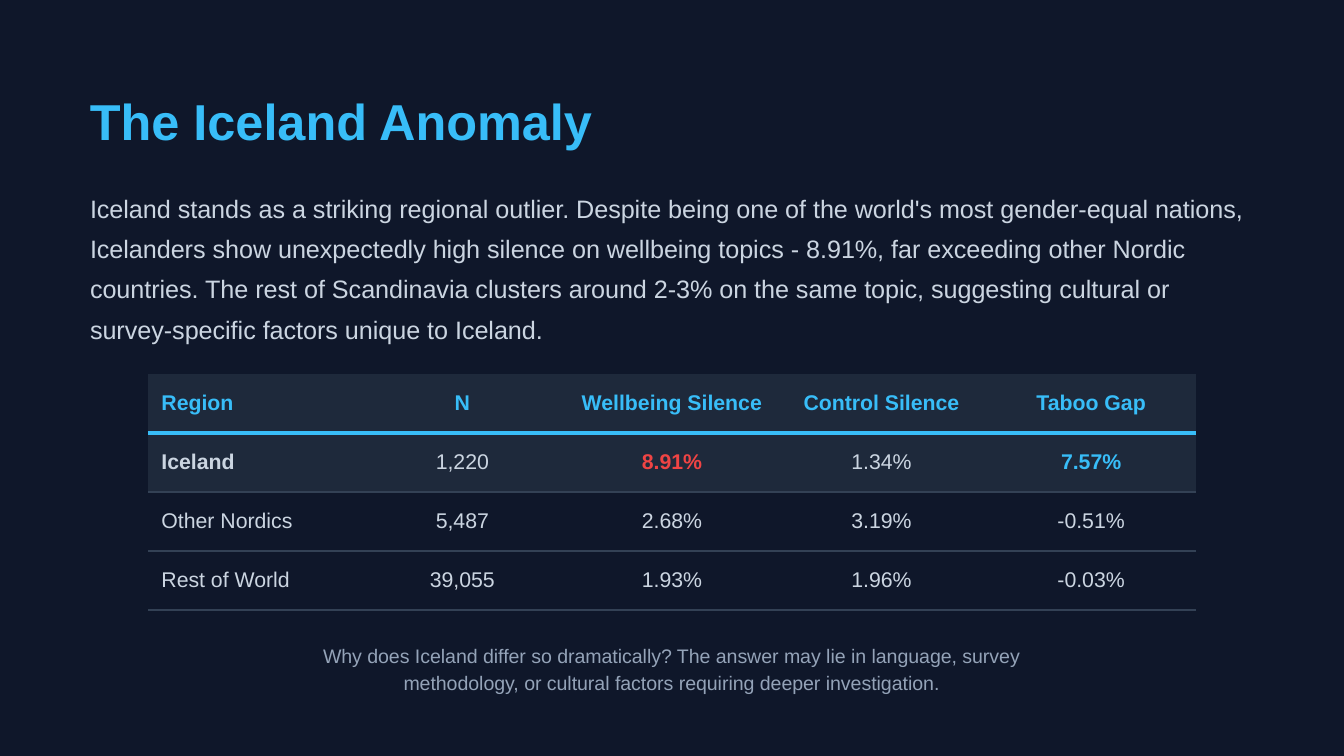
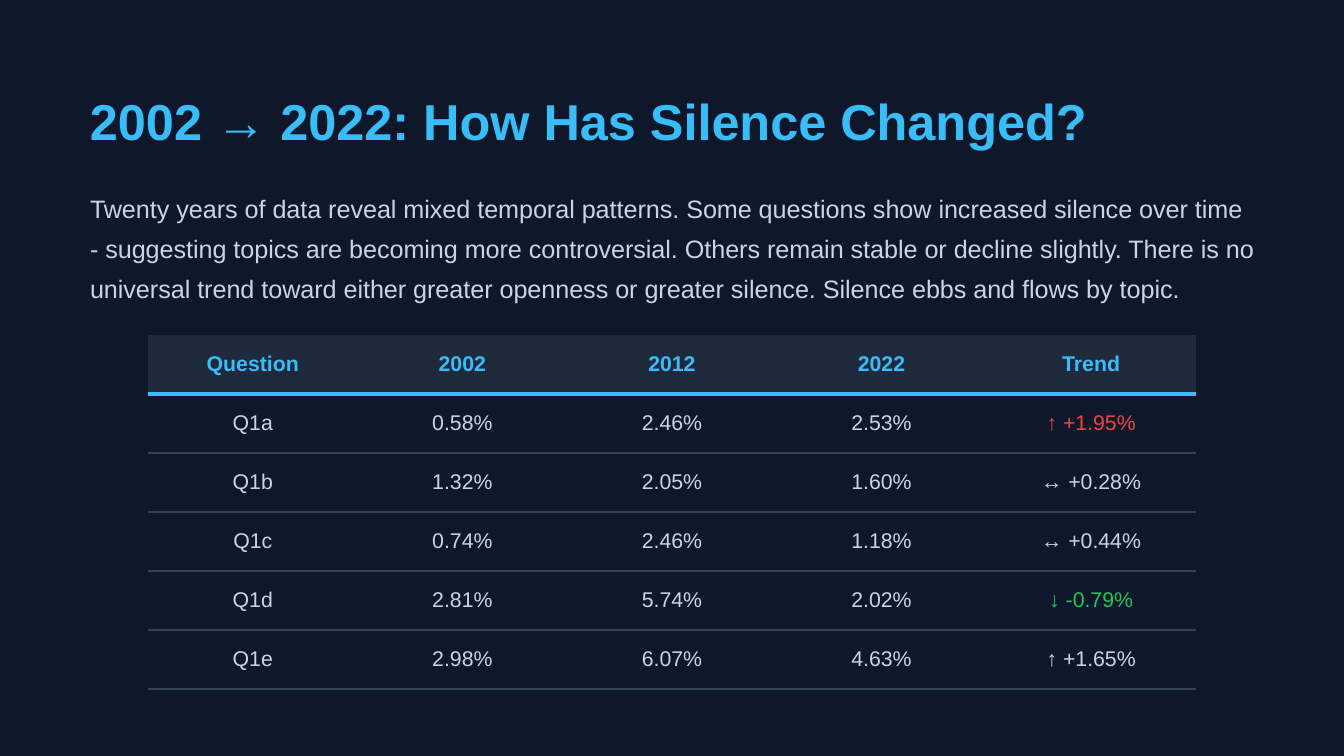
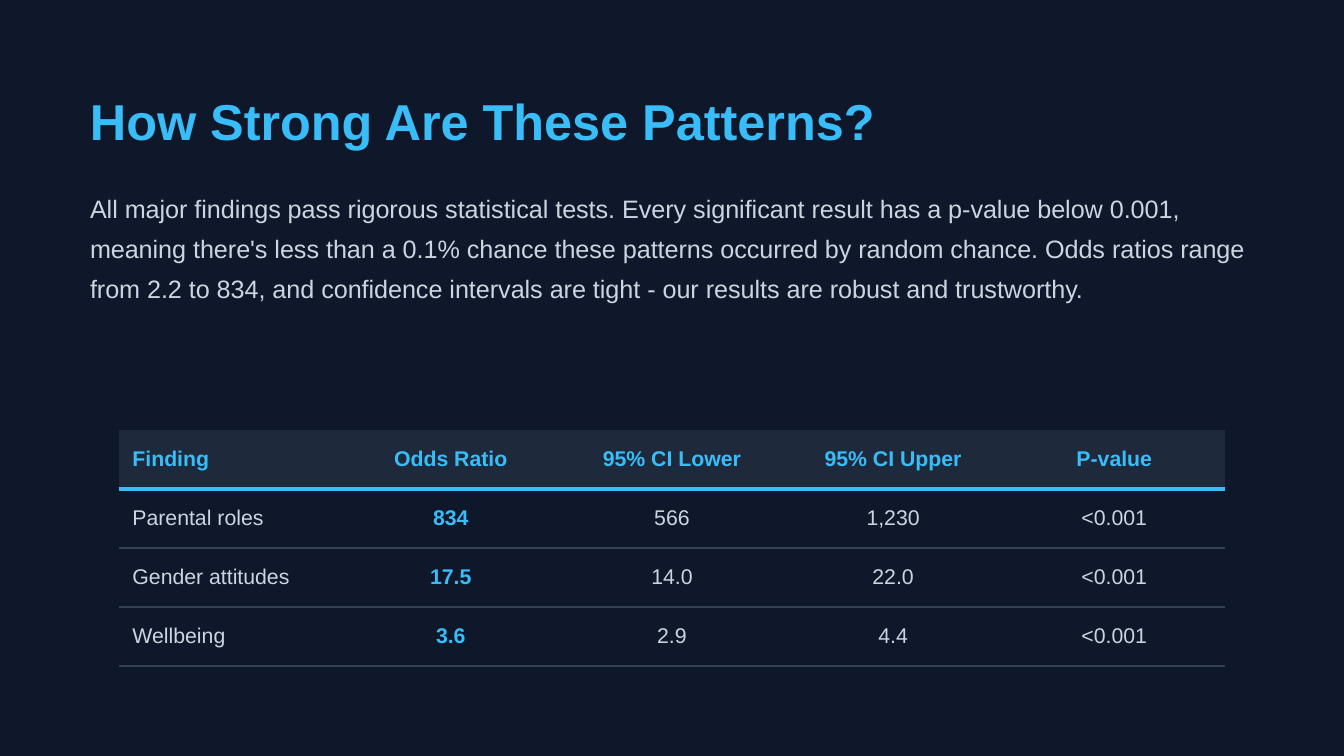
"""Build three slides on survey silence, each with a title, a paragraph and a table."""
from dataclasses import dataclass

from lxml import etree
from pptx import Presentation
from pptx import util as u
from pptx.dml.color import RGBColor
from pptx.enum import text
from pptx.oxml import ns


@dataclass(frozen=True)
class Theme:
    font: str = "Arial"
    background: str = "0F172A"
    panel: str = "1E293B"
    rule: str = "334155"
    accent: str = "38BDF8"
    body: str = "CBD5E1"
    muted: str = "94A3B8"
    alert: str = "EF4444"
    good: str = "22C55E"
    title_size: float = 27
    body_size: float = 13.5
    table_size: float = 11.4
    note_size: float = 10.5
    title_leading: float = 32.4
    body_leading: float = 21.6
    note_leading: float = 14.7
    header_rule: float = 2
    row_rule: float = 1


THEME = Theme()
LEFT, CENTER = text.PP_ALIGN.LEFT, text.PP_ALIGN.CENTER

SLIDE_WIDTH, SLIDE_HEIGHT = 1344, 756
EMU_PER_PX = u.Inches(10) / SLIDE_WIDTH
MARGIN = 90
TITLE_TOP, TITLE_WIDTH, TITLE_HEIGHT = 90, 1188, 60
BODY_TOP, BODY_WIDTH, BODY_HEIGHT = 183, 1165, 157
NOTE_TOP, NOTE_WIDTH, NOTE_HEIGHT = 640, 707, 54
ROW_HEIGHT = 59


def key(value):
    return value, THEME.accent, True


SLIDES = [
    {
        "title": "The Iceland Anomaly",
        "body": "Iceland stands as a striking regional outlier. Despite being one of the world's most "
                "gender-equal nations, Icelanders show unexpectedly high silence on wellbeing topics - "
                "8.91%, far exceeding other Nordic countries. The rest of Scandinavia clusters around "
                "2-3% on the same topic, suggesting cultural or survey-specific factors unique to Iceland.",
        "table_top": 374, "table_width": 1048, "first_column": LEFT, "panel_rows": (0, 1),
        "rows": [
            ["Region", "N", "Wellbeing Silence", "Control Silence", "Taboo Gap"],
            [("Iceland", THEME.body, True), "1,220", ("8.91%", THEME.alert, True), "1.34%", key("7.57%")],
            ["Other Nordics", "5,487", "2.68%", "3.19%", "-0.51%"],
            ["Rest of World", "39,055", "1.93%", "1.96%", "-0.03%"],
        ],
        "note": "Why does Iceland differ so dramatically? The answer may lie in language, survey "
                "methodology, or cultural factors requiring deeper investigation.",
    },
    {
        "title": "2002 → 2022: How Has Silence Changed?",
        "body": "Twenty years of data reveal mixed temporal patterns. Some questions show increased "
                "silence over time - suggesting topics are becoming more controversial. Others remain "
                "stable or decline slightly. There is no universal trend toward either greater openness "
                "or greater silence. Silence ebbs and flows by topic.",
        "table_top": 335, "table_width": 1048, "first_column": CENTER, "panel_rows": (0,),
        "rows": [
            ["Question", "2002", "2012", "2022", "Trend"],
            ["Q1a", "0.58%", "2.46%", "2.53%", ("↑ +1.95%", THEME.alert, False)],
            ["Q1b", "1.32%", "2.05%", "1.60%", "↔ +0.28%"],
            ["Q1c", "0.74%", "2.46%", "1.18%", "↔ +0.44%"],
            ["Q1d", "2.81%", "5.74%", "2.02%", ("↓ -0.79%", THEME.good, False)],
            ["Q1e", "2.98%", "6.07%", "4.63%", "↑ +1.65%"],
        ],
    },
    {
        "title": "How Strong Are These Patterns?",
        "body": "All major findings pass rigorous statistical tests. Every significant result has a "
                "p-value below 0.001, meaning there's less than a 0.1% chance these patterns occurred by "
                "random chance. Odds ratios range from 2.2 to 834, and confidence intervals are tight - "
                "our results are robust and trustworthy.",
        "table_top": 430, "table_width": 1106, "first_column": LEFT, "panel_rows": (0,),
        "rows": [
            ["Finding", "Odds Ratio", "95% CI Lower", "95% CI Upper", "P-value"],
            ["Parental roles", key("834"), "566", "1,230", "<0.001"],
            ["Gender attitudes", key("17.5"), "14.0", "22.0", "<0.001"],
            ["Wellbeing", key("3.6"), "2.9", "4.4", "<0.001"],
        ],
    },
]


def px(length):
    return u.Emu(round(length * EMU_PER_PX))


def add_run(paragraph, words, size, color, bold=False):
    run = paragraph.add_run()
    run.text = words
    run.font.name = THEME.font
    run.font.size = u.Pt(size)
    run.font.bold = bold
    run.font.color.rgb = RGBColor.from_string(color)


def add_text(slide, box, words, size, leading, color, bold=False, align=LEFT):
    frame = slide.shapes.add_textbox(*map(px, box)).text_frame
    frame.word_wrap = True
    frame.margin_left = frame.margin_top = frame.margin_right = frame.margin_bottom = 0
    paragraph = frame.paragraphs[0]
    paragraph.alignment = align
    paragraph.line_spacing = u.Pt(leading)
    add_run(paragraph, words, size, color, bold)


def set_border(cell, side, rule):
    properties = cell._tc.get_or_add_tcPr()
    line = etree.SubElement(properties, ns.qn(f"a:ln{side}"))
    if rule is None:
        line.set("w", "0")
        etree.SubElement(line, ns.qn("a:noFill"))
        return
    color, width = rule
    line.set("w", str(u.Pt(width)))
    fill = etree.SubElement(line, ns.qn("a:solidFill"))
    etree.SubElement(fill, ns.qn("a:srgbClr"), val=color)


def row_borders(row):
    header_rule = (THEME.accent, THEME.header_rule)
    row_rule = (THEME.rule, THEME.row_rule)
    top = {0: None, 1: header_rule}.get(row, row_rule)
    bottom = header_rule if row == 0 else row_rule
    return {"L": None, "R": None, "T": top, "B": bottom}


def style_cell(cell, content, row, align, panel):
    for side, rule in row_borders(row).items():
        set_border(cell, side, rule)
    if panel:
        cell.fill.solid()
        cell.fill.fore_color.rgb = RGBColor.from_string(THEME.panel)
    else:
        cell.fill.background()
    cell.vertical_anchor = text.MSO_ANCHOR.MIDDLE
    if isinstance(content, str):
        content = key(content) if row == 0 else (content, THEME.body, False)
    words, color, bold = content
    paragraph = cell.text_frame.paragraphs[0]
    paragraph.alignment = align
    add_run(paragraph, words, THEME.table_size, color, bold)


def add_data_table(slide, content):
    rows, width = content["rows"], content["table_width"]
    columns = len(rows[0])
    box = ((SLIDE_WIDTH - width) / 2, content["table_top"], width, ROW_HEIGHT * len(rows))
    table = slide.shapes.add_table(len(rows), columns, *map(px, box)).table
    table.first_row = table.horz_banding = False
    for column in table.columns:
        column.width = px(width / columns)
    for row, values in enumerate(rows):
        table.rows[row].height = px(ROW_HEIGHT)
        for column, value in enumerate(values):
            align = CENTER if column else content["first_column"]
            style_cell(table.cell(row, column), value, row, align, row in content["panel_rows"])


def add_slide(presentation, content):
    slide = presentation.slides.add_slide(presentation.slide_layouts[6])
    slide.background.fill.solid()
    slide.background.fill.fore_color.rgb = RGBColor.from_string(THEME.background)
    add_data_table(slide, content)
    add_text(slide, (MARGIN, TITLE_TOP, TITLE_WIDTH, TITLE_HEIGHT), content["title"],
             THEME.title_size, THEME.title_leading, THEME.accent, bold=True)
    add_text(slide, (MARGIN, BODY_TOP, BODY_WIDTH, BODY_HEIGHT), content["body"],
             THEME.body_size, THEME.body_leading, THEME.body)
    if "note" in content:
        note_box = ((SLIDE_WIDTH - NOTE_WIDTH) / 2, NOTE_TOP, NOTE_WIDTH, NOTE_HEIGHT)
        add_text(slide, note_box, content["note"],
                 THEME.note_size, THEME.note_leading, THEME.muted, align=CENTER)


def main():
    presentation = Presentation()
    presentation.slide_width, presentation.slide_height = px(SLIDE_WIDTH), px(SLIDE_HEIGHT)
    for content in SLIDES:
        add_slide(presentation, content)
    presentation.save("out.pptx")


if __name__ == "__main__":
    main()
